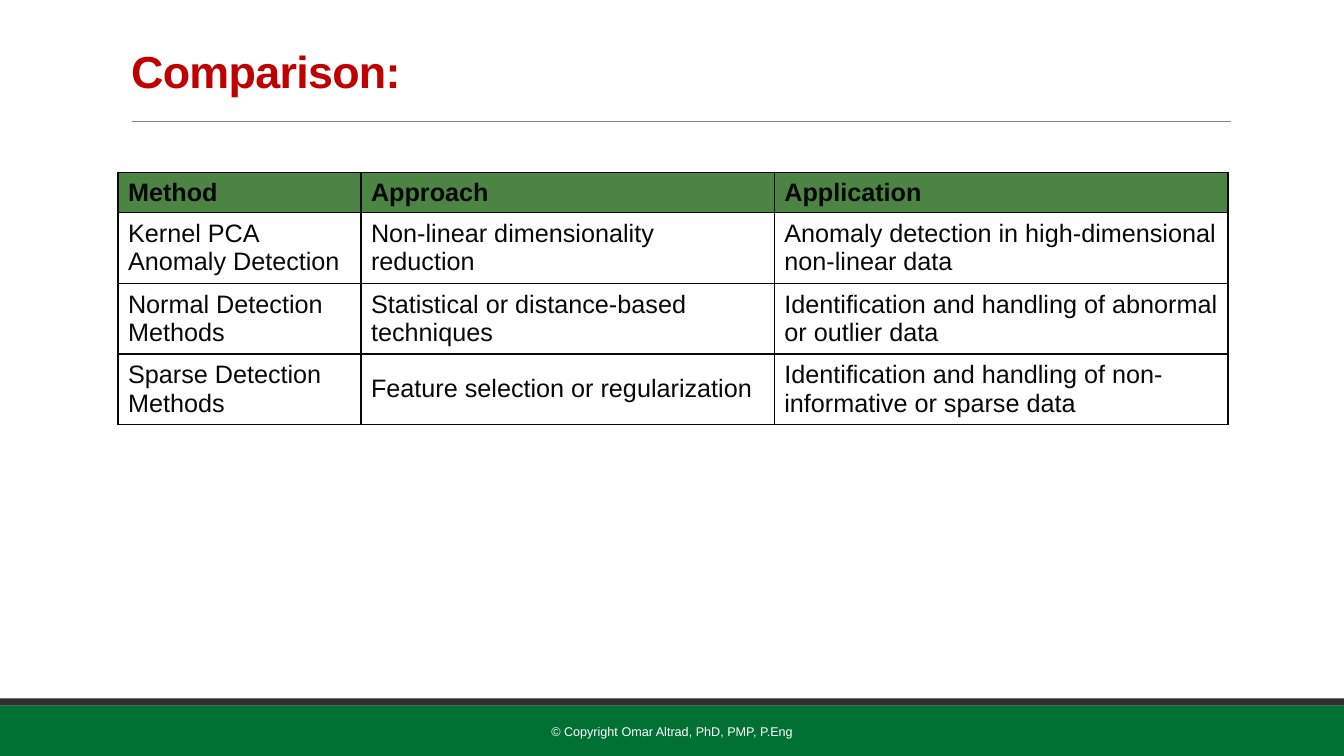
from dataclasses import dataclass

from lxml.etree import SubElement
from pptx import Presentation
from pptx.dml.color import RGBColor
from pptx.enum.shapes import MSO_CONNECTOR, MSO_SHAPE
from pptx.enum.text import MSO_ANCHOR, PP_ALIGN
from pptx.oxml.ns import qn
from pptx.util import Inches, Pt


@dataclass(frozen=True)
class Theme:
    font: str = "Arial"
    title_color: str = "C00000"
    ink: str = "080808"
    header_fill: str = "4C8444"
    footer_fill: str = "007033"
    footer_edge: str = "2F2F2F"
    footer_ink: str = "FFFFFF"
    rule: str = "848484"
    title_size: float = 32
    table_size: float = 18
    footer_size: float = 9


class SlideBuilder:
    def __init__(self, page, theme):
        self.page = page
        self.theme = theme

    def add_text(self, frame, text, size, color, bold=False, align=PP_ALIGN.LEFT):
        frame.word_wrap = True
        para = frame.paragraphs[0]
        para.alignment = align
        span = para.add_run()
        span.text = text
        formats = {"name": self.theme.font, "size": Pt(size), "bold": bold}
        for name, value in formats.items():
            setattr(span.font, name, value)
        span.font.color.rgb = RGBColor.from_string(color)
        return para, span

    def title(self, text, left, top, width, height):
        box = self.page.shapes.title
        bounds = {"left": left, "top": top, "width": width, "height": height}
        for name, value in bounds.items():
            setattr(box, name, Inches(value))
        box.text_frame.vertical_anchor = MSO_ANCHOR.MIDDLE
        para, span = self.add_text(box.text_frame, text, self.theme.title_size,
                                   self.theme.title_color, bold=True)
        para.line_spacing = 0.85
        span.font._element.set("spc", "-50")

    def band(self, color, left, top, width, height):
        bounds = map(Inches, (left, top, width, height))
        box = self.page.shapes.add_shape(MSO_SHAPE.RECTANGLE, *bounds)
        box.shadow.inherit = False
        box.fill.solid()
        box.fill.fore_color.rgb = RGBColor.from_string(color)
        box.line.fill.background()

    def rule(self, left, right, height):
        ends = map(Inches, (left, height, right, height))
        line = self.page.shapes.add_connector(MSO_CONNECTOR.STRAIGHT, *ends)
        line.line.color.rgb = RGBColor.from_string(self.theme.rule)
        line.line.width = Pt(0.5)
        SubElement(line._element.spPr, qn("a:effectLst"))

    def footer(self, text, left, top, width, height):
        box = self.page.shapes.add_textbox(*map(Inches, (left, top, width, height)))
        box.text_frame.vertical_anchor = MSO_ANCHOR.MIDDLE
        self.add_text(box.text_frame, text, self.theme.footer_size,
                      self.theme.footer_ink, align=PP_ALIGN.CENTER)

    def table(self, rows, left, top, widths, heights):
        bounds = map(Inches, (left, top, sum(widths), sum(heights)))
        grid = self.page.shapes.add_table(len(rows), len(widths), *bounds).table
        for column, width in zip(grid.columns, widths):
            column.width = Inches(width)
        for row, height in zip(grid.rows, heights):
            row.height = Inches(height)
        for row_index, texts in enumerate(rows):
            for column_index, text in enumerate(texts):
                self.cell(grid.cell(row_index, column_index), text, row_index == 0)

    def cell(self, cell, text, header):
        cell.vertical_anchor = MSO_ANCHOR.MIDDLE
        self.add_text(cell.text_frame, text, self.theme.table_size,
                      self.theme.ink, bold=header)
        properties = cell._tc.get_or_add_tcPr()
        for side in ("a:lnL", "a:lnR", "a:lnT", "a:lnB"):
            border = SubElement(properties, qn(side), w=str(Pt(1)))
            fill = SubElement(border, qn("a:solidFill"))
            SubElement(fill, qn("a:srgbClr"), val=self.theme.ink)
        if header:
            cell.fill.solid()
            cell.fill.fore_color.rgb = RGBColor.from_string(self.theme.header_fill)
        else:
            cell.fill.background()


def main():
    deck = Presentation()
    deck.slide_width = Inches(13.33)
    deck.slide_height = Inches(7.5)
    theme = Theme()
    builder = SlideBuilder(deck.slides.add_slide(deck.slide_layouts[5]), theme)
    builder.band(theme.footer_fill, 0, 7, 13.33, 0.5)
    builder.band(theme.footer_edge, 0, 6.93, 13.33, 0.07)
    builder.rule(1.31, 12.21, 1.2)
    builder.title("Comparison:", 1.2, 0.31, 11, 0.86)
    builder.footer("© Copyright Omar Altrad, PhD, PMP, P.Eng", 4.03, 7.06, 5.27, 0.4)
    methods = [
        ("Method", "Approach", "Application"),
        ("Kernel PCA Anomaly Detection", "Non-linear dimensionality reduction",
         "Anomaly detection in high-dimensional non-linear data"),
        ("Normal Detection Methods", "Statistical or distance-based techniques",
         "Identification and handling of abnormal or outlier data"),
        ("Sparse Detection Methods", "Feature selection or regularization",
         "Identification and handling of non-informative or sparse data"),
    ]
    builder.table(methods, 1.17, 1.71, [2.41, 4.1, 4.5], [0.38, 0.66, 0.66, 0.66])
    deck.save("out.pptx")


if __name__ == "__main__":
    main()
